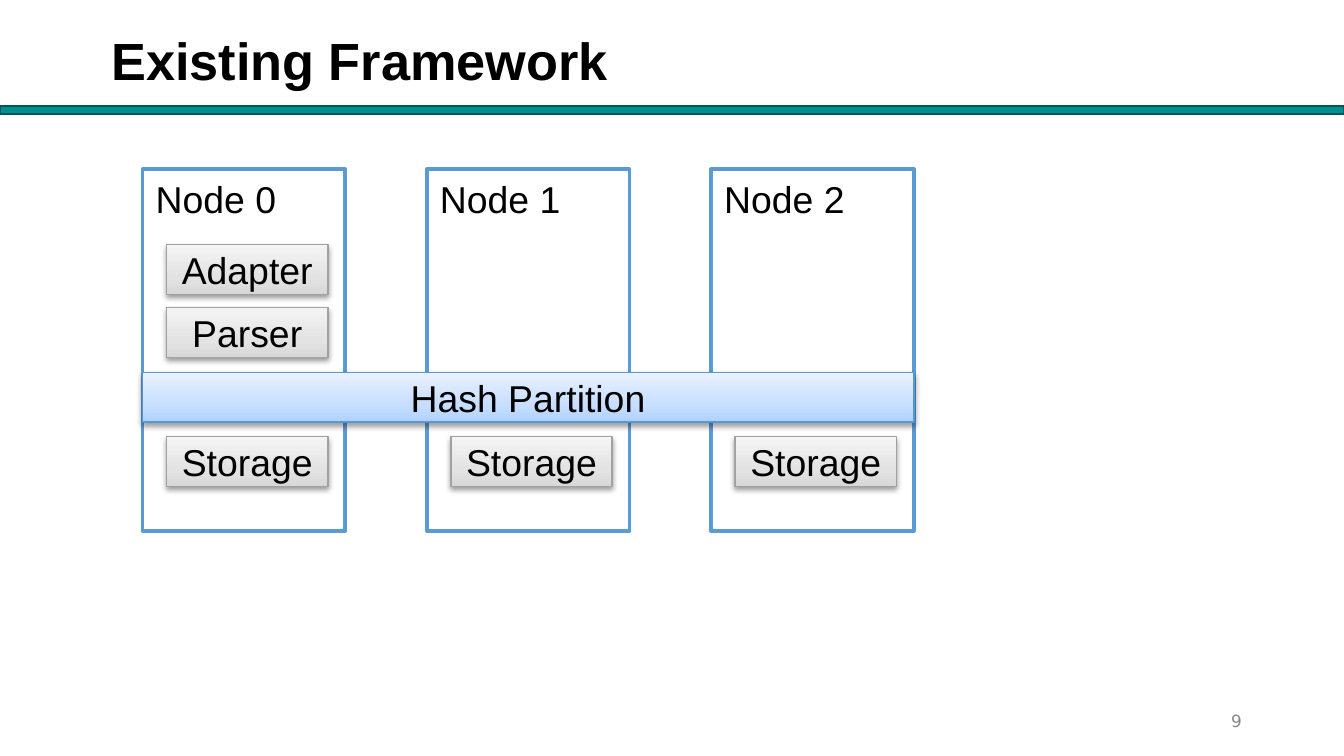
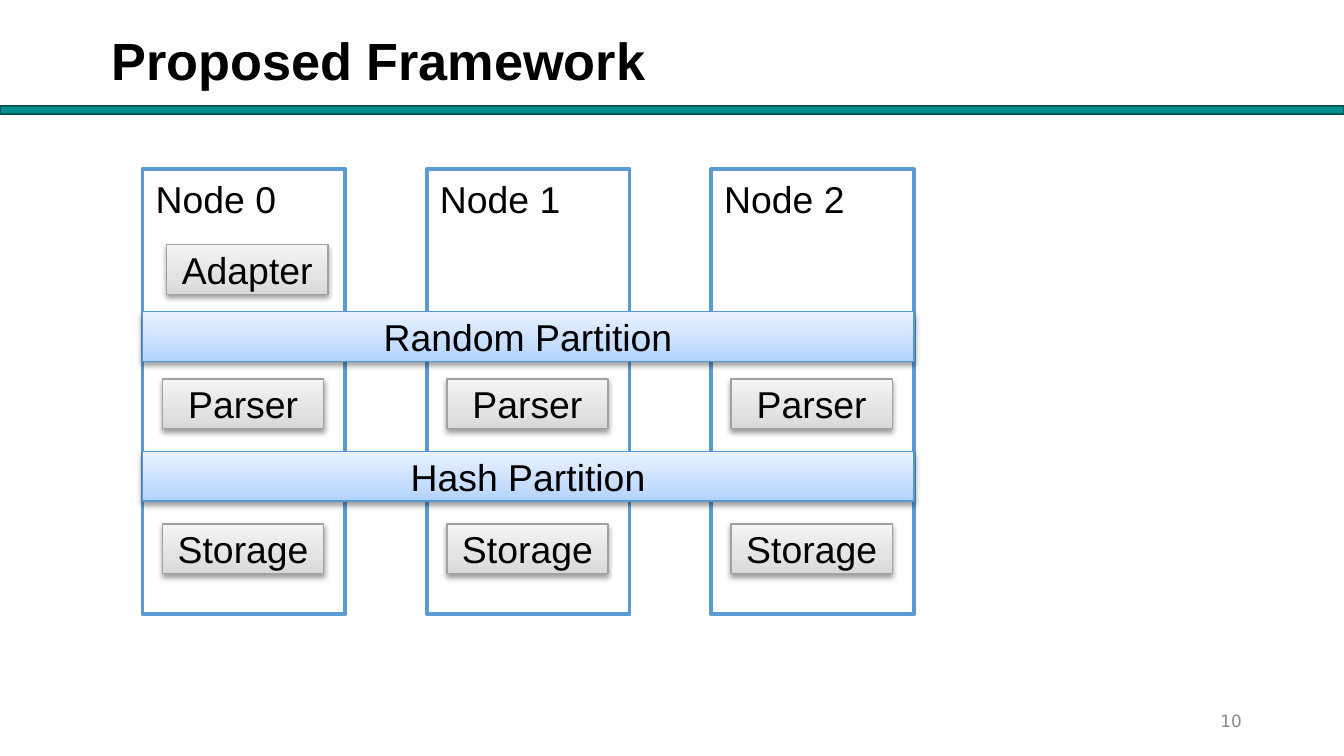
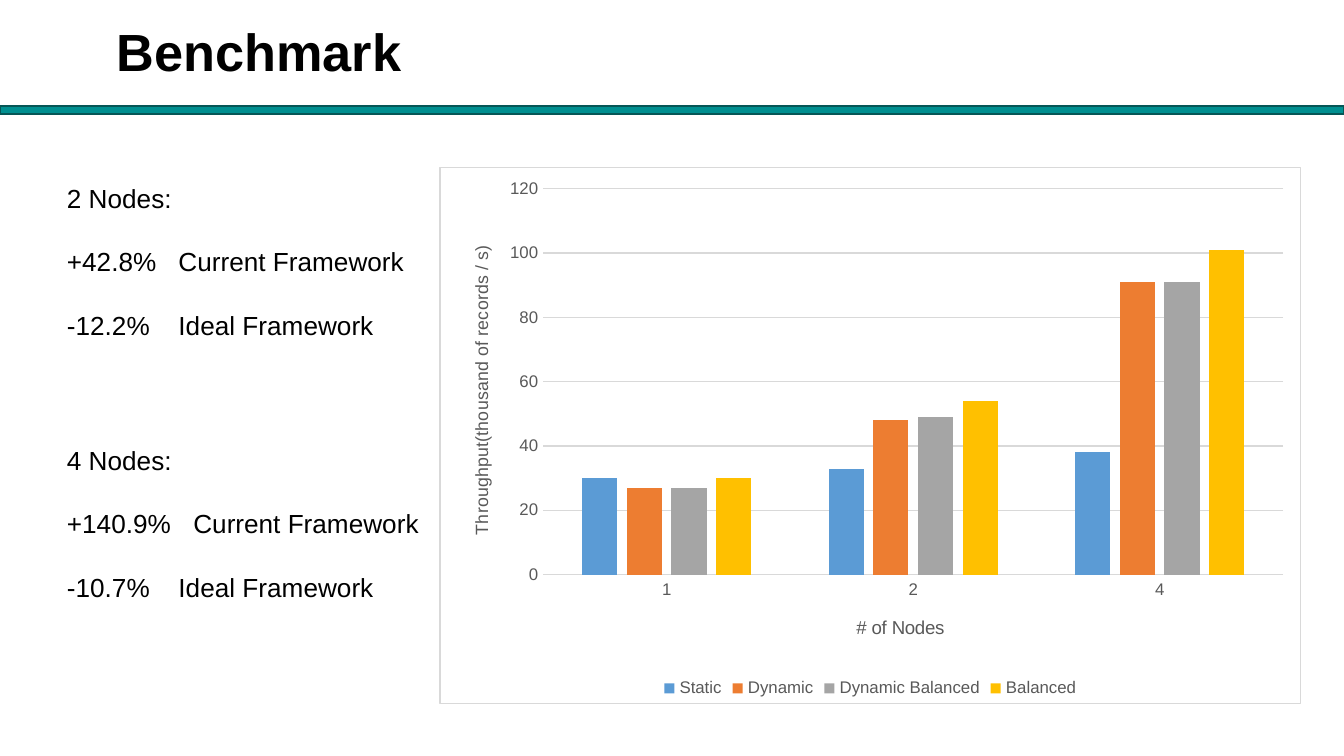
from dataclasses import dataclass

import pptx
import pptx.chart.data
import pptx.dml.color
import pptx.enum.chart
import pptx.enum.shapes
import pptx.enum.text
import pptx.oxml
import pptx.oxml.ns
import pptx.util

Inches = pptx.util.Inches
Pt = pptx.util.Pt
RGBColor = pptx.dml.color.RGBColor
Align = pptx.enum.text.PP_ALIGN
Anchor = pptx.enum.text.MSO_ANCHOR
qn = pptx.oxml.ns.qn

# Shared look
SLIDE_WIDTH = Inches(10)
SLIDE_HEIGHT = SLIDE_WIDTH * 9 // 16
FONT = "Arial"
NUMBER_FONT = "DejaVu Sans"
BLACK = RGBColor(0x00, 0x00, 0x00)
WHITE = RGBColor(0xFF, 0xFF, 0xFF)
TEAL = RGBColor(0x00, 0x8F, 0x90)
DARK_TEAL = RGBColor(0x06, 0x56, 0x56)
NODE_BLUE = RGBColor(0x5B, 0x9B, 0xD5)
NUMBER_GRAY = RGBColor(0x88, 0x88, 0x88)
CHART_TEXT = RGBColor(0x59, 0x59, 0x59)
CHART_LINE = RGBColor(0xD9, 0xD9, 0xD9)
TASK_LINE = RGBColor(0xA1, 0xA1, 0xA1)
TASK_GRADIENT = (RGBColor(0xD8, 0xD8, 0xD8), RGBColor(0xE3, 0xE3, 0xE3), RGBColor(0xF4, 0xF4, 0xF4))
PARTITION_LINE = RGBColor(0x56, 0x98, 0xD3)
PARTITION_GRADIENT = (RGBColor(0xB0, 0xD2, 0xFF), RGBColor(0xC7, 0xDE, 0xFF), RGBColor(0xEA, 0xF2, 0xFF))
GRADIENT_POSITIONS = (0, 35, 100)

# Framework diagram measures, in inches
NODE_COUNT = 3
NODE_LEFT, NODE_TOP, NODE_WIDTH = 1.06, 1.26, 1.51
DIAGRAM_WIDTH = 5.74
NODE_PITCH = (DIAGRAM_WIDTH - NODE_WIDTH) / (NODE_COUNT - 1)
TASK_WIDTH, BAR_HEIGHT = 1.2, 0.37


@dataclass
class Box:
    left: float
    top: float
    width: float
    height: float

    def lengths(self) -> tuple:
        return tuple(Inches(value) for value in (self.left, self.top, self.width, self.height))


@dataclass
class TaskRow:
    label: str
    top: float
    indent: float
    node_count: int = NODE_COUNT


@dataclass
class Partition:
    label: str
    top: float


@dataclass
class Framework:
    title: str
    page: int
    node_height: float
    tasks: list[TaskRow]
    partitions: list[Partition]


@dataclass
class Change:
    percent: str
    baseline: str
    tab: float


@dataclass
class Finding:
    heading: str
    top: float
    changes: list[Change]


@dataclass
class Series:
    name: str
    values: tuple
    color: RGBColor


FRAMEWORKS = [
    Framework("Existing Framework", 9, 2.69,
              [TaskRow("Adapter", 1.82, 0.18, 1), TaskRow("Parser", 2.29, 0.18, 1),
               TaskRow("Storage", 3.25, 0.18)],
              [Partition("Hash Partition", 2.77)]),
    Framework("Proposed Framework", 10, 3.31,
              [TaskRow("Adapter", 1.82, 0.18, 1), TaskRow("Parser", 2.82, 0.15),
               TaskRow("Storage", 3.9, 0.15)],
              [Partition("Random Partition", 2.32), Partition("Hash Partition", 3.36)]),
]
FINDINGS = [
    Finding("2 Nodes:", 1.31, [Change("+42.8%", "Current Framework", 0.83),
                               Change("-12.2%", "Ideal Framework", 0.83)]),
    Finding("4 Nodes:", 3.26, [Change("+140.9%", "Current Framework", 0.94),
                               Change("-10.7%", "Ideal Framework", 0.83)]),
]
NODE_CATEGORIES = ("1", "2", "4")
THROUGHPUT = [
    Series("Static", (30, 33, 38), NODE_BLUE),
    Series("Dynamic", (27, 48, 91), RGBColor(0xED, 0x7D, 0x31)),
    Series("Dynamic Balanced", (27, 49, 91), RGBColor(0xA5, 0xA5, 0xA5)),
    Series("Balanced", (30, 54, 101), RGBColor(0xFF, 0xC0, 0x00)),
]


# Text and shape helpers
def style_font(font, size: float, color: RGBColor = BLACK, bold: bool = False, name: str = FONT) -> None:
    font.name, font.size, font.bold = name, Pt(size), bold
    font.color.rgb = color


def style_paragraph(paragraph, size: float, align=Align.LEFT, **font_options) -> None:
    paragraph.alignment = align
    for run in paragraph.runs:
        style_font(run.font, size, **font_options)


def add_text(shapes, box: Box, text: str, size: float, align=Align.LEFT, anchor=Anchor.TOP,
             tight: bool = False, grow: bool = False, **font_options):
    text_frame = shapes.add_textbox(*box.lengths()).text_frame
    text_frame.word_wrap = True
    text_frame.vertical_anchor = anchor
    if tight:
        text_frame.margin_left = text_frame.margin_right = Inches(0.07)
        text_frame.margin_top = text_frame.margin_bottom = Inches(0.04)
    if grow:
        text_frame.auto_size = pptx.enum.text.MSO_AUTO_SIZE.SHAPE_TO_FIT_TEXT
    text_frame.text = text
    style_paragraph(text_frame.paragraphs[0], size, align, **font_options)
    return text_frame


def add_rectangle(shapes, box: Box, fill: RGBColor, line: RGBColor, line_width: float):
    shape = shapes.add_shape(pptx.enum.shapes.MSO_SHAPE.RECTANGLE, *box.lengths())
    shape.shadow.inherit = False
    shape.fill.solid()
    shape.fill.fore_color.rgb = fill
    shape.line.color.rgb = line
    shape.line.width = Pt(line_width)
    return shape


def add_raised_bar(shapes, box: Box, label: str, gradient: tuple, line: RGBColor) -> None:
    shape = add_rectangle(shapes, box, gradient[0], line, 0.75)
    properties = shape._element.spPr
    namespace = pptx.oxml.ns.nsdecls("a")
    stops = "".join(f'<a:gs pos="{position * 1000}"><a:srgbClr val="{color}"/></a:gs>'
                    for position, color in zip(GRADIENT_POSITIONS, gradient))
    properties.replace(properties.find(qn("a:solidFill")), pptx.oxml.parse_xml(
        f'<a:gradFill {namespace} rotWithShape="1"><a:gsLst>{stops}</a:gsLst>'
        '<a:lin ang="16200000" scaled="0"/></a:gradFill>'))
    properties.find(qn("a:effectLst")).append(pptx.oxml.parse_xml(
        f'<a:outerShdw {namespace} blurRad="{Pt(3.1)}" dist="{Pt(1.6)}" dir="5400000" rotWithShape="0">'
        '<a:srgbClr val="000000"><a:alpha val="38000"/></a:srgbClr></a:outerShdw>'))
    shape.text_frame.text = label
    shape.text_frame.vertical_anchor = Anchor.MIDDLE
    style_paragraph(shape.text_frame.paragraphs[0], 20, Align.CENTER)


def add_titled_slide(presentation, title: str, title_box: Box):
    slide = presentation.slides.add_slide(presentation.slide_layouts[6])
    add_text(slide.shapes, title_box, title, 28, tight=True, bold=True)
    add_rectangle(slide.shapes, Box(0, 0.79, 10, 0.06), TEAL, DARK_TEAL, 1)
    return slide


# Framework slides
def add_framework_slide(presentation, framework: Framework) -> None:
    slide = add_titled_slide(presentation, framework.title, Box(0.76, 0.17, 6.71, 0.5))
    add_text(slide.shapes, Box(7.06, 5.21, 2.25, 0.3), str(framework.page), 9, Align.RIGHT,
             Anchor.MIDDLE, tight=True, color=NUMBER_GRAY, name=NUMBER_FONT)
    diagram = slide.shapes.add_group_shape().shapes
    for node in range(NODE_COUNT):
        left = NODE_LEFT + node * NODE_PITCH
        add_rectangle(diagram, Box(left, NODE_TOP, NODE_WIDTH, framework.node_height), WHITE, NODE_BLUE, 2)
        add_text(diagram, Box(left, NODE_TOP, 1.12, 0.44), f"Node {node}", 20, grow=True)
        for task in framework.tasks:
            if node < task.node_count:
                add_raised_bar(diagram, Box(left + task.indent, task.top, TASK_WIDTH, BAR_HEIGHT),
                               task.label, TASK_GRADIENT, TASK_LINE)
    for partition in framework.partitions:
        add_raised_bar(diagram, Box(NODE_LEFT, partition.top, DIAGRAM_WIDTH, BAR_HEIGHT),
                       partition.label, PARTITION_GRADIENT, PARTITION_LINE)


# Benchmark slide
def add_finding(slide, finding: Finding) -> None:
    text_frame = add_text(slide.shapes, Box(0.4, finding.top, 2.86, 1.28), finding.heading, 14, grow=True)
    for change in finding.changes:
        paragraph = text_frame.add_paragraph()
        paragraph.text = f"{change.percent}\t{change.baseline}"
        paragraph.space_before = Pt(17)
        style_paragraph(paragraph, 14)
        paragraph._p.get_or_add_pPr().append(pptx.oxml.parse_xml(
            f'<a:tabLst {pptx.oxml.ns.nsdecls("a")}><a:tab pos="{Inches(change.tab)}" algn="l"/></a:tabLst>'))


def set_layout(element, index: int, **fractions: float) -> None:
    """Place a chart part by fractions of the chart's size."""
    for layout in element.findall(qn("c:layout")):
        element.remove(layout)
    target = '<c:layoutTarget val="inner"/>' if "w" in fractions else ""
    modes = "".join(f'<c:{key}Mode val="edge"/>' for key in ("x", "y"))
    values = "".join(f'<c:{key} val="{value}"/>' for key, value in fractions.items())
    element.insert(index, pptx.oxml.parse_xml(
        f'<c:layout {pptx.oxml.ns.nsdecls("c")}><c:manualLayout>{target}{modes}{values}'
        '</c:manualLayout></c:layout>'))


def style_axis(axis, title: str, title_size: float, x: float, y: float) -> None:
    axis.major_tick_mark = axis.minor_tick_mark = pptx.enum.chart.XL_TICK_MARK.NONE
    style_font(axis.tick_labels.font, 9, CHART_TEXT)
    axis.axis_title.text_frame.text = title
    style_paragraph(axis.axis_title.text_frame.paragraphs[0], title_size, Align.CENTER, color=CHART_TEXT)
    set_layout(axis.axis_title._element, 1, x=x, y=y)


def add_throughput_chart(slide) -> None:
    chart_data = pptx.chart.data.CategoryChartData()
    chart_data.categories = NODE_CATEGORIES
    for series in THROUGHPUT:
        chart_data.add_series(series.name, series.values)
    chart = slide.shapes.add_chart(pptx.enum.chart.XL_CHART_TYPE.COLUMN_CLUSTERED,
                                   *Box(3.27, 1.24, 6.41, 4).lengths(), chart_data).chart
    chart.has_title = False
    style_font(chart.font, 10)

    # Columns
    plot = chart.plots[0]
    plot.gap_width, plot.overlap, plot.vary_by_categories = 219, -27, False
    for column, series in zip(plot.series, THROUGHPUT):
        column.format.fill.solid()
        column.format.fill.fore_color.rgb = series.color

    # Axes and legend
    style_axis(chart.category_axis, "# of Nodes", 10, 0.48, 0.83)
    style_axis(chart.value_axis, "Throughput(thousand of records / s)", 9.5, 0.03, 0.14)
    chart.value_axis.minimum_scale, chart.value_axis.maximum_scale = 0, 120
    chart.value_axis.major_unit = 20
    chart.value_axis.format.line.fill.background()
    for line in (chart.category_axis.format.line, chart.value_axis.major_gridlines.format.line):
        line.color.rgb = CHART_LINE
        line.width = Pt(0.75)
    chart.has_legend = True
    chart.legend.position = pptx.enum.chart.XL_LEGEND_POSITION.BOTTOM
    chart.legend.include_in_layout = False
    style_font(chart.legend.font, 9, CHART_TEXT)

    # Plot area and chart border
    chart_element = chart._chartSpace.find(qn("c:chart"))
    set_layout(chart_element.find(qn("c:plotArea")), 0, x=0.12, y=0.04, w=0.86, h=0.72)
    chart_element.addnext(pptx.oxml.parse_xml(
        f'<c:spPr {pptx.oxml.ns.nsdecls("c", "a")}><a:solidFill><a:srgbClr val="{WHITE}"/></a:solidFill>'
        f'<a:ln w="{Pt(0.75)}"><a:solidFill><a:srgbClr val="{CHART_LINE}"/></a:solidFill></a:ln></c:spPr>'))


def main() -> None:
    presentation = pptx.Presentation()
    presentation.slide_width, presentation.slide_height = SLIDE_WIDTH, SLIDE_HEIGHT
    for framework in FRAMEWORKS:
        add_framework_slide(presentation, framework)
    benchmark = add_titled_slide(presentation, "Benchmark", Box(0.8, 0.1, 7.22, 0.63))
    for finding in FINDINGS:
        add_finding(benchmark, finding)
    add_throughput_chart(benchmark)
    presentation.save("out.pptx")


if __name__ == "__main__":
    main()
